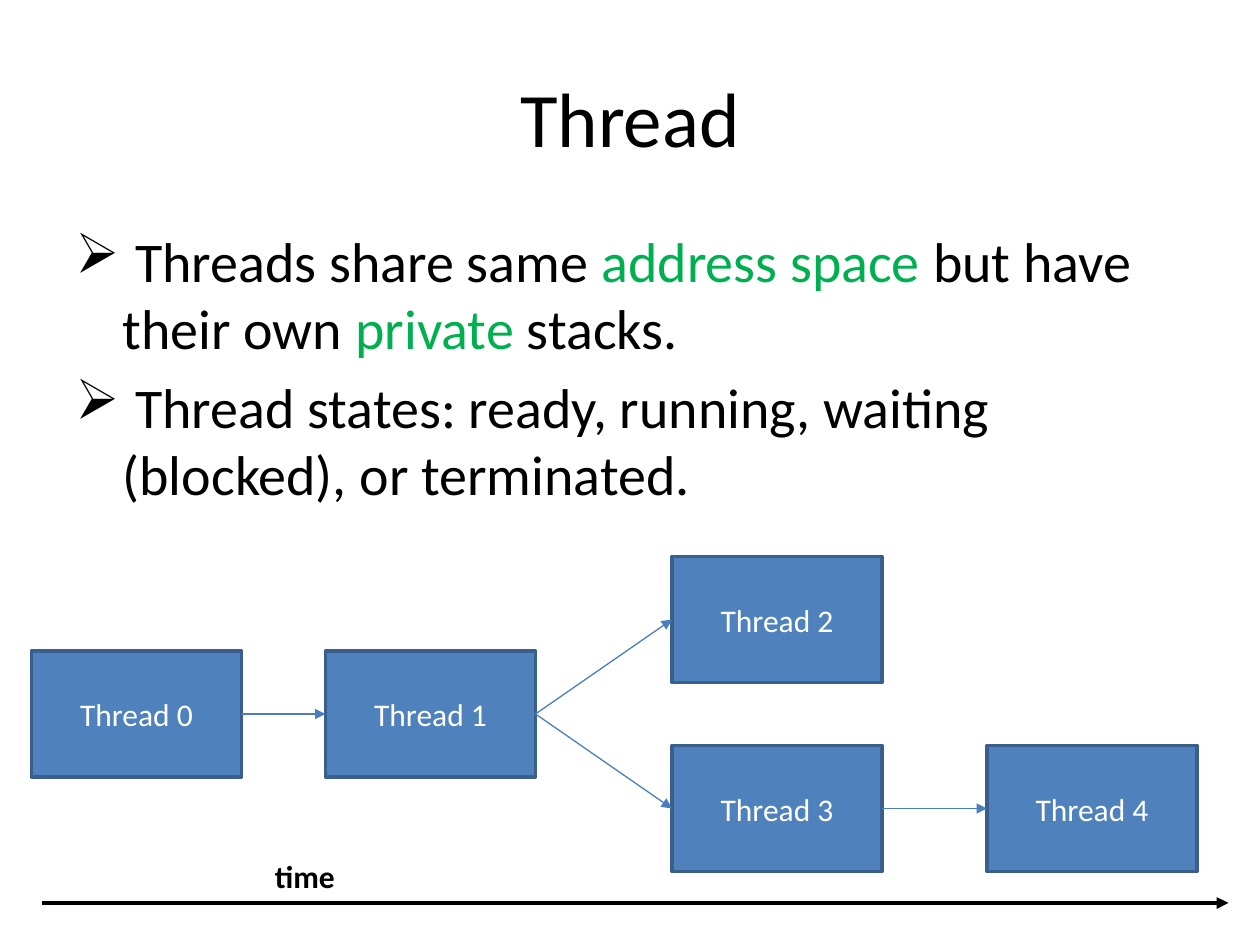
"""Build a slide on threads, their states and the order in which they start."""
import pptx
import pptx.dml.color
import pptx.enum.shapes
import pptx.enum.text
import pptx.oxml
import pptx.oxml.ns
import pptx.util
from lxml import etree

Pt = pptx.util.Pt
RGBColor = pptx.dml.color.RGBColor
ALIGN = pptx.enum.text.PP_ALIGN
ANCHOR = pptx.enum.text.MSO_ANCHOR
qn = pptx.oxml.ns.qn

BLACK = RGBColor(0x00, 0x00, 0x00)
WHITE = RGBColor(0xFF, 0xFF, 0xFF)
GREEN = RGBColor(0x00, 0xB0, 0x50)
BLUE = RGBColor(0x4F, 0x81, 0xBD)
BORDER = RGBColor(0x3A, 0x5F, 0x8C)
ARROW = RGBColor(0x4A, 0x7E, 0xBB)

TITLE = "Thread"
BULLETS = [
    [(" Threads share same ", BLACK), ("address space ", GREEN),
     ("but have their own ", BLACK), ("private", GREEN), (" stacks.", BLACK)],
    [(" Thread states: ready, running, waiting (blocked), or terminated.", BLACK)],
]
BOX_WIDTH, BOX_HEIGHT = 120, 72
THREADS = {
    "Thread 0": (18, 372),
    "Thread 1": (186, 372),
    "Thread 2": (384, 318),
    "Thread 3": (384, 426),
    "Thread 4": (564, 426),
}
STARTS = [("Thread 0", "Thread 1"), ("Thread 1", "Thread 2"),
          ("Thread 1", "Thread 3"), ("Thread 3", "Thread 4")]


def style(para, size, color, bold=False):
    para.font.name = "Calibri"
    para.font.size = Pt(size)
    para.font.bold = bold
    para.font.color.rgb = color


def add_text(page, place, anchor=ANCHOR.TOP):
    frame = page.shapes.add_textbox(*map(Pt, place)).text_frame
    frame.word_wrap = True
    frame.vertical_anchor = anchor
    return frame


def add_bullet(para):
    properties = para._p.get_or_add_pPr()
    properties.set("marL", str(Pt(27)))
    properties.set("indent", str(-Pt(27)))
    etree.SubElement(properties, qn("a:buChar")).set("char", "➢")


def add_arrow(page, start, end, color, width):
    arrow = page.shapes.add_connector(
        pptx.enum.shapes.MSO_CONNECTOR.STRAIGHT, *map(Pt, start + end))
    arrow.line.color.rgb = color
    arrow.line.width = Pt(width)
    etree.SubElement(arrow.line._get_or_add_ln(), qn("a:tailEnd")).set("type", "triangle")
    etree.SubElement(arrow._element.spPr, qn("a:effectLst"))
    return arrow


deck = pptx.Presentation()
deck.slide_width, deck.slide_height = Pt(720), Pt(540)
page = deck.slides.add_slide(deck.slide_layouts[6])

title = add_text(page, (36, 21.6, 648, 90), ANCHOR.MIDDLE).paragraphs[0]
title.text = TITLE
title.alignment = ALIGN.CENTER
style(title, 44, BLACK)

body = add_text(page, (36, 126, 648, 356.4))
for number, pieces in enumerate(BULLETS):
    para = body.add_paragraph() if number else body.paragraphs[0]
    para.space_before = Pt(6.4)
    add_bullet(para)
    style(para, 32, BLACK)
    for words, color in pieces:
        span = para.add_run()
        span.text = words
        span.font.color.rgb = color

boxes = {}
for name, (left, top) in THREADS.items():
    box = page.shapes.add_shape(pptx.enum.shapes.MSO_SHAPE.RECTANGLE,
                                Pt(left), Pt(top), Pt(BOX_WIDTH), Pt(BOX_HEIGHT))
    box.shadow.inherit = False
    box.fill.solid()
    box.fill.fore_color.rgb = BLUE
    box.line.color.rgb = BORDER
    box.line.width = Pt(2)
    box.text_frame.vertical_anchor = ANCHOR.MIDDLE
    para = box.text_frame.paragraphs[0]
    para.text = name
    para.alignment = ALIGN.CENTER
    style(para, 18, WHITE)
    boxes[name] = box

for parent, child in STARTS:
    (left, top), (child_left, child_top) = THREADS[parent], THREADS[child]
    arrow = add_arrow(page, (left + BOX_WIDTH, top + BOX_HEIGHT / 2),
                      (child_left, child_top + BOX_HEIGHT / 2), ARROW, 0.75)
    arrow.begin_connect(boxes[parent], 3)
    arrow.end_connect(boxes[child], 1)

add_arrow(page, (24, 516), (702, 516), BLACK, 2.25)
time_label = add_text(page, (150, 486, 60, 29)).paragraphs[0]
time_label.text = "time"
style(time_label, 18, BLACK, bold=True)

deck.save("out.pptx")
